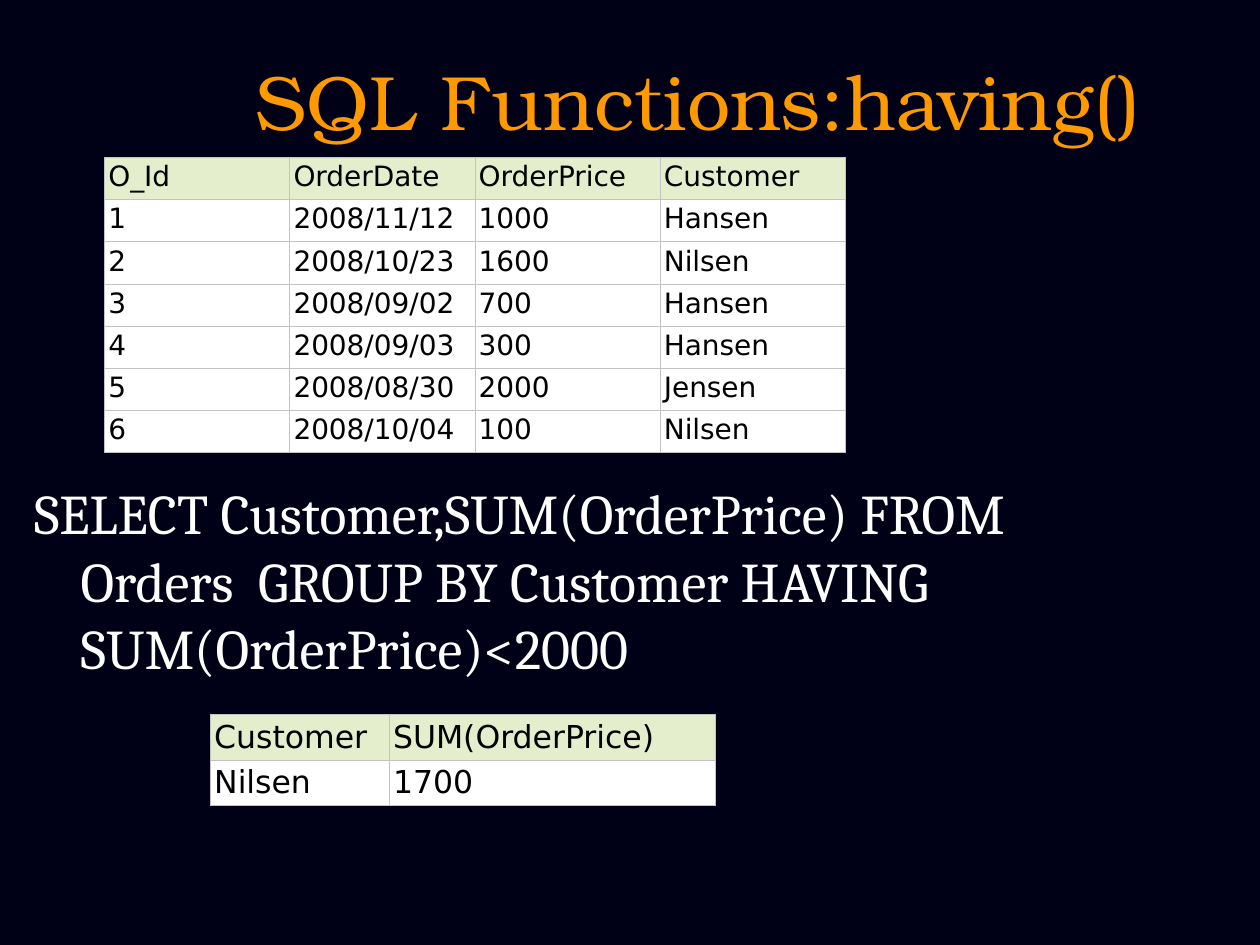
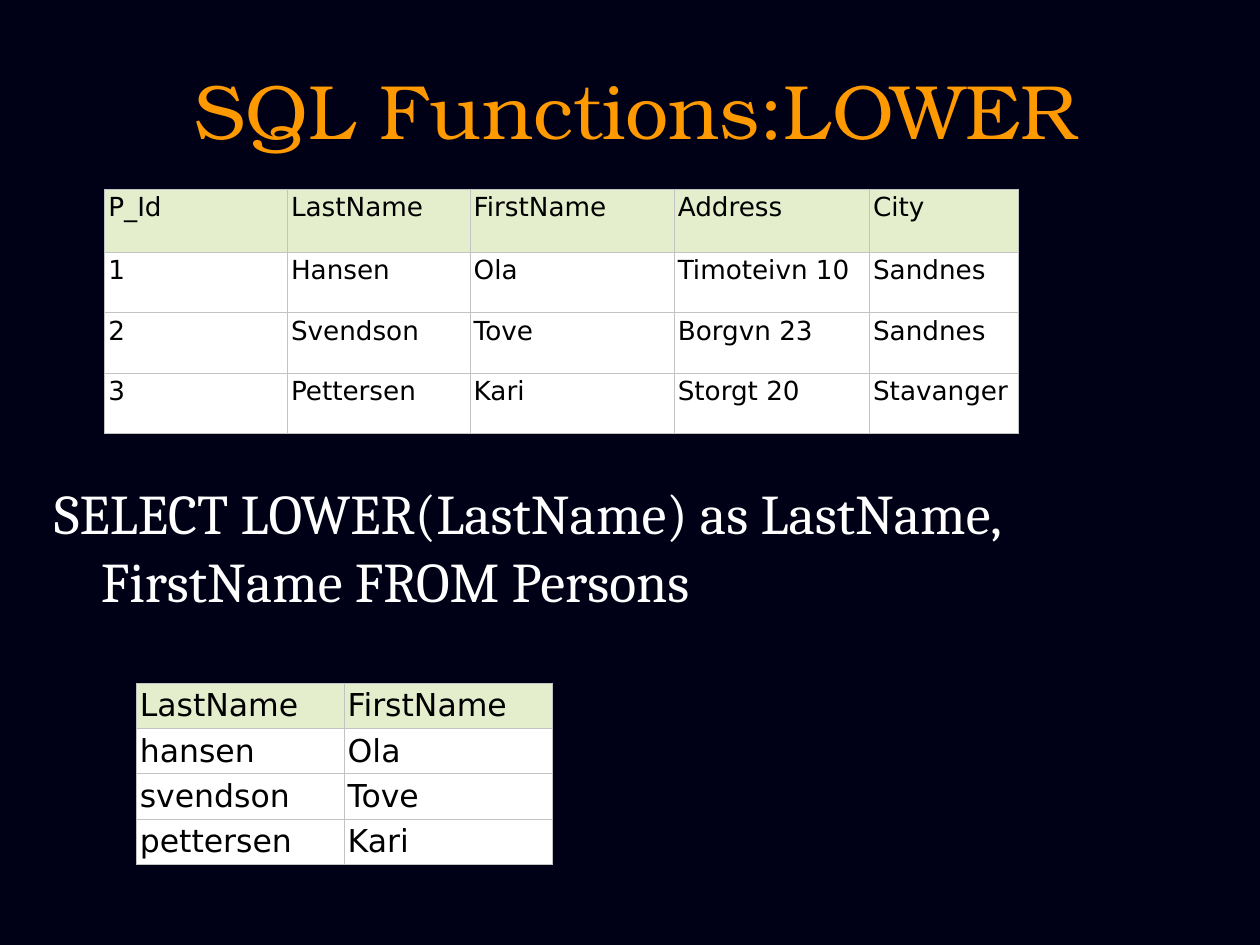
from lxml import etree
from pptx import Presentation
from pptx.dml.color import RGBColor
from pptx.enum.text import MSO_ANCHOR, MSO_AUTO_SIZE, PP_ALIGN
from pptx.oxml.ns import qn
from pptx.util import Inches, Pt

CENTER = PP_ALIGN.CENTER
MIDDLE = MSO_ANCHOR.MIDDLE
TOP = MSO_ANCHOR.TOP
FIXED = MSO_AUTO_SIZE.NONE


def color(code):
    return RGBColor.from_string(code)


def write(frame, text, font, size, ink, align=None, space=1.0, hang=None):
    frame.text = text
    para = frame.paragraphs[0]
    para.alignment = align
    para.line_spacing = space
    para.space_before = Pt(0)
    if hang:
        props = para._p.get_or_add_pPr()
        props.set("marL", str(Inches(hang)))
        props.set("indent", str(-Inches(hang)))
        etree.SubElement(props, qn("a:buNone"))
    face = para.runs[0].font
    face.name = font
    face.size = Pt(size)
    face.bold = False
    face.color.rgb = color(ink)


class Deck:
    back = "000016"
    gold = "FF9900"
    white = "FFFFFF"
    black = "000000"
    green = "E5EECC"
    gray = "C3C3C3"
    head = "TeX Gyre Bonum"
    serif = "Cambria"
    sans = "DejaVu Sans"

    def __init__(self):
        self.prs = Presentation()
        self.prs.slide_width = Inches(10)
        self.prs.slide_height = Inches(7.5)
        fill = self.prs.slide_master.background.fill
        fill.solid()
        fill.fore_color.rgb = color(self.back)

    def start(self):
        self.slide = self.prs.slides.add_slide(self.prs.slide_layouts[1])

    def place(self, shape, box, anchor):
        shape.left, shape.top, shape.width, shape.height = map(Inches, box)
        frame = shape.text_frame
        frame.word_wrap = True
        frame.auto_size = FIXED
        frame.vertical_anchor = anchor
        return frame

    def title(self, text, box):
        frame = self.place(self.slide.shapes.title, box, MIDDLE)
        write(frame, text, self.head, 44, self.gold, align=CENTER)

    def query(self, text, box):
        frame = self.place(self.slide.placeholders[1], box, TOP)
        write(frame, text, self.serif, 32, self.white, hang=0.37)

    def border(self, cell):
        props = cell._tc.get_or_add_tcPr()
        for side in ("lnL", "lnR", "lnT", "lnB"):
            line = etree.SubElement(props, qn(f"a:{side}"), w=str(Pt(0.34)))
            fill = etree.SubElement(line, qn("a:solidFill"))
            etree.SubElement(fill, qn("a:srgbClr"), val=self.gray)

    def table(self, left, top, cols, rows, data, size, pad=0.04):
        grid = self.slide.shapes.add_table(
            len(rows), len(cols), Inches(left), Inches(top),
            Inches(sum(cols)), Inches(sum(rows))).table
        grid.horz_banding = False
        for col, width in zip(grid.columns, cols):
            col.width = Inches(width)
        for row, height in zip(grid.rows, rows):
            row.height = Inches(height)
        for r, line in enumerate(data):
            for c, text in enumerate(line):
                cell = grid.cell(r, c)
                cell.margin_left = cell.margin_right = Inches(0.03)
                cell.margin_top = Inches(pad)
                cell.margin_bottom = Inches(0.03)
                self.border(cell)
                cell.fill.solid()
                cell.fill.fore_color.rgb = color(self.white if r else self.green)
                write(cell.text_frame, text, self.sans, size, self.black, space=0.94)


def having(deck):
    deck.start()
    deck.title("SQL Functions:having()", (0.88, 0.25, 9.33, 1.08))
    deck.query("SELECT Customer,SUM(OrderPrice) FROM Orders  GROUP BY Customer "
               "HAVING SUM(OrderPrice)<2000", (0.17, 3.75, 9, 1.75))
    orders = [
        ("O_Id", "OrderDate", "OrderPrice", "Customer"),
        ("1", "2008/11/12", "1000", "Hansen"),
        ("2", "2008/10/23", "1600", "Nilsen"),
        ("3", "2008/09/02", "700", "Hansen"),
        ("4", "2008/09/03", "300", "Hansen"),
        ("5", "2008/08/30", "2000", "Jensen"),
        ("6", "2008/10/04", "100", "Nilsen"),
    ]
    deck.table(0.83, 1.25, [1.47] * 4, [2.34 / 7] * 7, orders, 16)
    sums = [("Customer", "SUM(OrderPrice)"), ("Nilsen", "1700")]
    deck.table(1.67, 5.67, [1.42, 2.59], [0.36] * 2, sums, 18, pad=0.05)


def lower(deck):
    deck.start()
    deck.title("SQL Functions:LOWER", (1.42, 0.3, 7.25, 1.12))
    deck.query("SELECT LOWER(LastName) as LastName, FirstName FROM Persons",
               (0.33, 3.75, 9, 1.25))
    people = [
        ("P_Id", "LastName", "FirstName", "Address", "City"),
        ("1", "Hansen", "Ola", "Timoteivn 10", "Sandnes"),
        ("2", "Svendson", "Tove", "Borgvn 23", "Sandnes"),
        ("3", "Pettersen", "Kari", "Storgt 20", "Stavanger"),
    ]
    deck.table(0.83, 1.5, [1.45, 1.45, 1.62, 1.55, 1.18],
               [0.5] + [0.48] * 3, people, 15)
    names = [("LastName", "FirstName"), ("hansen", "Ola"),
             ("svendson", "Tove"), ("pettersen", "Kari")]
    deck.table(1.08, 5.42, [1.65] * 2, [0.36] * 4, names, 18, pad=0.05)


def main():
    deck = Deck()
    having(deck)
    lower(deck)
    deck.prs.save("out.pptx")


if __name__ == "__main__":
    main()
